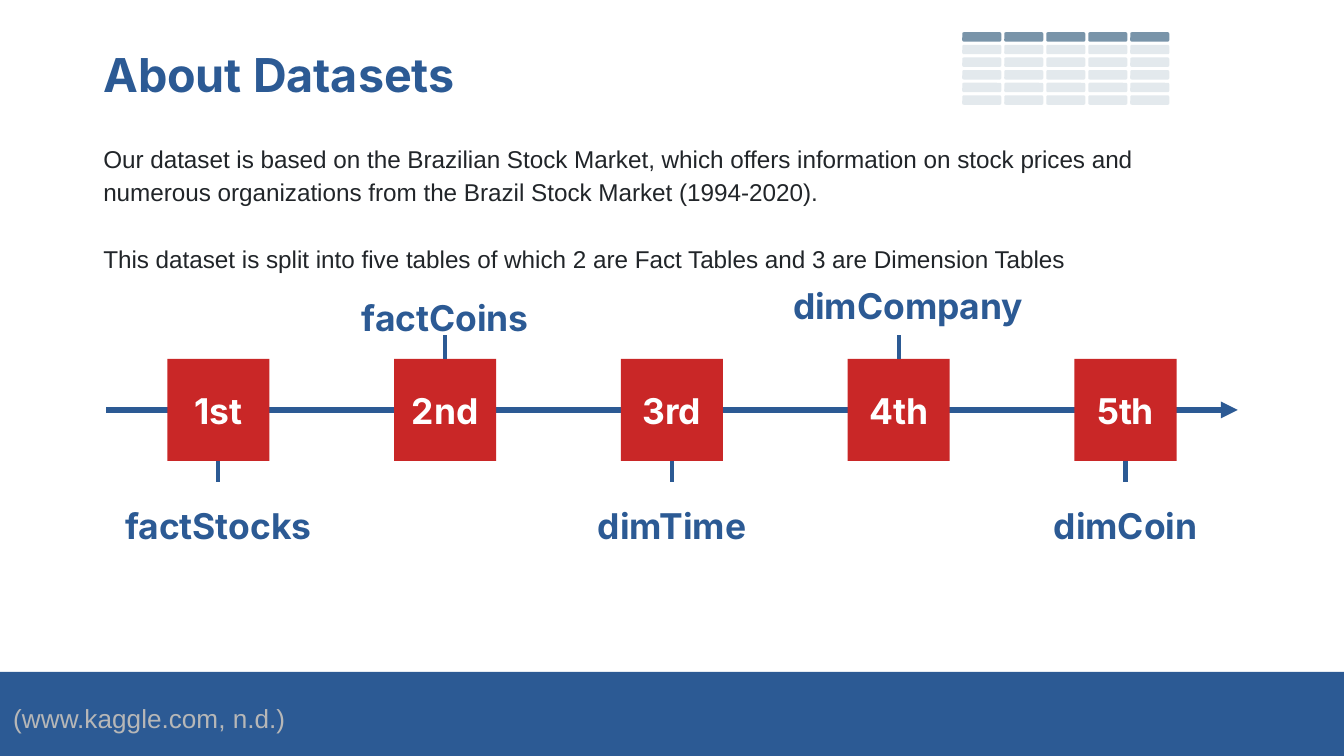
from dataclasses import dataclass

from lxml import etree
from pptx import Presentation
from pptx.dml.color import RGBColor
from pptx.enum.shapes import MSO_CONNECTOR, MSO_SHAPE
from pptx.enum.text import MSO_ANCHOR, PP_ALIGN
from pptx.oxml.ns import qn
from pptx.shapes.autoshape import Shape
from pptx.util import Inches, Pt

BLUE = RGBColor(0x2C, 0x5A, 0x94)
RED = RGBColor(0xC9, 0x27, 0x27)
WHITE = RGBColor(0xFF, 0xFF, 0xFF)
INK = RGBColor(0x21, 0x25, 0x29)
GRAY = RGBColor(0xB7, 0xB7, 0xB7)
SLATE = RGBColor(0x79, 0x94, 0xA9)
PALE = RGBColor(0xE3, 0xE9, 0xED)

RECT, CELL = MSO_SHAPE.RECTANGLE, MSO_SHAPE.FLOWCHART_ALTERNATE_PROCESS
STRAIGHT = MSO_CONNECTOR.STRAIGHT
TOP, MIDDLE, BOTTOM = MSO_ANCHOR.TOP, MSO_ANCHOR.MIDDLE, MSO_ANCHOR.BOTTOM
LEFT, CENTER = PP_ALIGN.LEFT, PP_ALIGN.CENTER


@dataclass
class Box:
    x: float
    y: float
    w: float
    h: float


@dataclass
class Step:
    rank: str
    name: str
    top: float
    shift: float = 0
    width: float = 1.69


STEPS = [
    Step("1st", "factStocks", 3.59),
    Step("2nd", "factCoins", 2.04),
    Step("3rd", "dimTime", 3.59),
    Step("4th", "dimCompany", 1.95, shift=0.07, width=1.83),
    Step("5th", "dimCoin", 3.59),
]
WIDE, HIGH = 10, 10 * 9 / 16
AXIS, SIDE, PITCH = 3.05, 0.76, 6.75 / 4

deck = Presentation()
deck.slide_width, deck.slide_height = Inches(WIDE), Inches(HIGH)
slide = deck.slides.add_slide(deck.slide_layouts[6])


def place(box: Box) -> tuple:
    return tuple(Inches(v) for v in (box.x, box.y, box.w, box.h))


def add_block(kind: MSO_SHAPE, box: Box, color: RGBColor) -> Shape:
    block = slide.shapes.add_shape(kind, *place(box))
    block.shadow.inherit = False
    block.fill.solid()
    block.fill.fore_color.rgb = color
    block.line.fill.background()
    return block


def write(shape: Shape, *lines: str, size: float, color: RGBColor,
          font: str = "Inter", bold: bool = True, align: PP_ALIGN = LEFT,
          anchor: MSO_ANCHOR = TOP, inset: float = 0.1,
          pitch: float = 1, gap: float = 0) -> None:
    """Fill a shape with one paragraph per line, gap points apart."""
    frame = shape.text_frame
    frame.word_wrap = True
    frame.vertical_anchor = anchor
    frame.margin_left = frame.margin_right = Inches(inset)
    frame.margin_top = frame.margin_bottom = Inches(inset)
    for i, line in enumerate(lines):
        para = frame.add_paragraph() if i else frame.paragraphs[0]
        para.alignment = align
        para.line_spacing = pitch
        para.space_before = Pt(gap if i else 0)
        run = para.add_run()
        run.text = line
        run.font.name, run.font.size = font, Pt(size)
        run.font.bold = bold
        run.font.color.rgb = color


def add_text(box: Box, *lines: str, **style) -> None:
    write(slide.shapes.add_textbox(*place(box)), *lines, **style)


def add_line(x1: float, y1: float, x2: float, y2: float,
             width: float, arrow: bool = False) -> None:
    line = slide.shapes.add_connector(
        STRAIGHT, Inches(x1), Inches(y1), Inches(x2), Inches(y2))
    line.line.color.rgb = BLUE
    line.line.width = Pt(width)
    if arrow:
        etree.SubElement(line.line._get_or_add_ln(), qn("a:tailEnd"),
                         type="triangle")
    etree.SubElement(line._element.spPr, qn("a:effectLst"))


def add_step(step: Step, mid: float) -> None:
    """Draw a numbered square with its tick and table name."""
    top = AXIS - SIDE / 2
    square = add_block(RECT, Box(mid - SIDE / 2, top, SIDE, SIDE), RED)
    write(square, step.rank, size=19, color=WHITE, align=CENTER,
          anchor=MIDDLE, inset=0)
    if step.top > AXIS:
        add_line(mid, top + SIDE, mid, 3.59, 2.25)
    else:
        add_line(mid, top, mid, 2.49, 2.25)
    left = mid + step.shift - step.width / 2
    add_text(Box(left, step.top, step.width, 0.48), step.name, size=19,
             color=BLUE, align=CENTER, anchor=BOTTOM, inset=0)


def add_icon(area: Box, cols: int = 5, rows: int = 6) -> None:
    """Draw a small table with a dark header row."""
    wide, high = 0.29, 0.07
    across = (area.w - wide) / (cols - 1)
    down = (area.h - high) / (rows - 1)
    for col in range(cols):
        for row in range(rows):
            box = Box(area.x + col * across, area.y + row * down, wide, high)
            add_block(CELL, box, PALE if row else SLATE)


add_block(RECT, Box(0, 5, WIDE, HIGH - 5), BLUE)
add_text(Box(0.67, 0.94, 8.29, 1.83),
         "Our dataset is based on the Brazilian Stock Market, which offers "
         "information on stock prices and numerous organizations from the "
         "Brazil Stock Market (1994-2020).",
         "This dataset is split into five tables of which 2 are Fact Tables "
         "and 3 are Dimension Tables",
         size=13, color=INK, font="Arial", bold=False, pitch=1.15, gap=18)
add_text(Box(0.67, 0.24, 8.29, 0.62), "About Datasets", size=25, color=BLUE)
add_line(0.79, AXIS, 9.21, AXIS, 3, arrow=True)
for i, step in enumerate(STEPS):
    add_step(step, WIDE / 2 + (i - 2) * PITCH)
add_icon(Box(7.16, 0.24, 1.54, 0.54))
add_text(Box(0, 5.13, 3.28, 0.44), "(www.kaggle.com, n.d.)", size=14,
         color=GRAY, font="Arial", bold=False)

deck.save("out.pptx")
